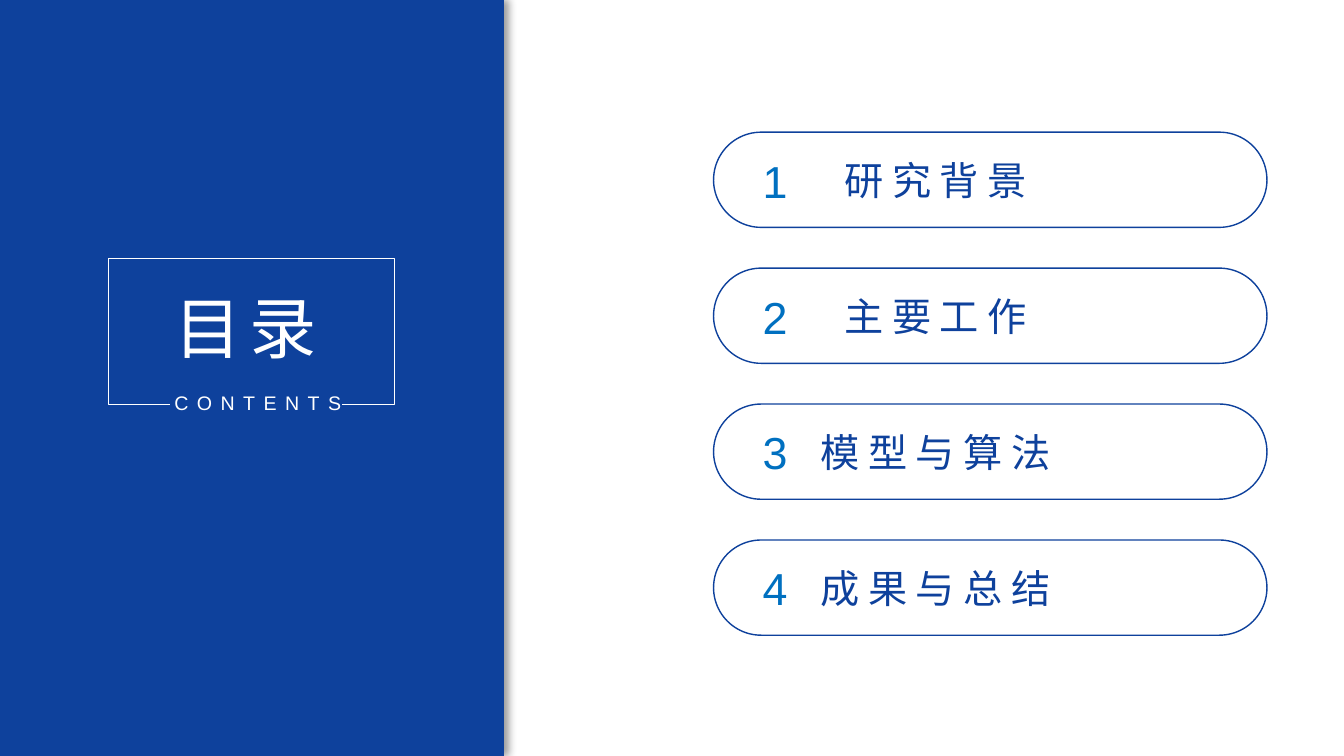
from lxml import etree
from pptx import Presentation
from pptx.dml.color import RGBColor
from pptx.enum.shapes import MSO_SHAPE
from pptx.enum.text import MSO_ANCHOR, MSO_AUTO_SIZE, PP_ALIGN
from pptx.oxml.ns import qn
from pptx.util import Pt

RECT, PILL = MSO_SHAPE.RECTANGLE, MSO_SHAPE.ROUNDED_RECTANGLE
LEFT, CENTER = PP_ALIGN.LEFT, PP_ALIGN.CENTER
TOP, MIDDLE = MSO_ANCHOR.TOP, MSO_ANCHOR.MIDDLE

COLORS = {"navy": "0E419C", "number": "0070C0", "white": "FFFFFF", "shadow": "000000"}
FONT = "Arial"
SECTIONS = ["研究背景", "主要工作", "模型与算法", "成果与总结"]


def color(name):
    return RGBColor.from_string(COLORS[name])


def add_label(slide, box, text, size, fill, align=LEFT, anchor=TOP, spacing=0, wrap=False):
    label = slide.shapes.add_textbox(*map(Pt, box))
    frame = label.text_frame
    frame.text = text
    frame.word_wrap = wrap
    frame.auto_size = MSO_AUTO_SIZE.SHAPE_TO_FIT_TEXT
    frame.vertical_anchor = anchor
    paragraph = frame.paragraphs[0]
    paragraph.alignment = align
    run = paragraph.runs[0]
    run.font.size = Pt(size)
    run.font.name = FONT
    run.font.color.rgb = color(fill)
    properties = run.font._element
    etree.SubElement(properties, qn("a:ea"), typeface=FONT)
    if spacing:
        properties.set("spc", str(spacing * 100))


def add_side_shadow(shape):
    """Cast a soft shadow to the right of the shape."""
    shape.shadow.inherit = False
    effects = shape._element.spPr.find(qn("a:effectLst"))
    shadow = etree.SubElement(effects, qn("a:outerShdw"), blurRad=str(Pt(6)),
                              dist=str(Pt(3)), dir="0", algn="l", rotWithShape="0")
    tint = etree.SubElement(shadow, qn("a:srgbClr"), val=COLORS["shadow"])
    etree.SubElement(tint, qn("a:alpha"), val="40000")


def add_title_panel(slide, left, top, width, height):
    panel = slide.shapes.add_shape(RECT, *map(Pt, (left, top, width, height)))
    panel.fill.solid()
    panel.fill.fore_color.rgb = color("navy")
    panel.line.fill.background()
    add_side_shadow(panel)

    # Heading and its subtitle
    add_label(slide, (left + 117.4, top + 200.9, 123.8, 65.5), "目录", 48, "white", spacing=6)
    add_label(slide, (left + 117.4, top + 275.8, 141, 24.5), "CONTENTS", 14, "white", spacing=6)

    # Frame, open at the bottom for the subtitle
    frame_left, frame_right = left + 77.5, left + 281.7
    frame_top, frame_bottom = top + 184.8, top + 288.9
    outline = slide.shapes.build_freeform(Pt(left + 121.3), Pt(frame_bottom))
    corners = [(frame_left, frame_bottom), (frame_left, frame_top),
               (frame_right, frame_top), (frame_right, frame_bottom),
               (left + 244.4, frame_bottom)]
    outline.add_line_segments([(Pt(x), Pt(y)) for x, y in corners], close=False)
    frame = outline.convert_to_shape()
    frame.fill.background()
    frame.line.color.rgb = color("white")
    frame.line.width = Pt(0.5)
    frame.shadow.inherit = False


def add_section(slide, left, top, width, height, number, name):
    pill = slide.shapes.add_shape(PILL, *map(Pt, (left, top, width, height)))
    pill.adjustments[0] = 0.5
    pill.fill.background()
    pill.line.color.rgb = color("navy")
    pill.line.width = Pt(1)
    pill.shadow.inherit = False

    add_label(slide, (left + 10.4, top + 11.3, 67, 46), str(number), 32, "number",
              CENTER, MIDDLE, wrap=True)
    add_label(slide, (left + 66.6, top + 13.6, 184, 41.2), name, 28, "navy",
              CENTER, spacing=6)


def add_section_list(slide, left, top, width, height):
    pill_height = 68
    pitch = (height - pill_height) / (len(SECTIONS) - 1)
    for index, name in enumerate(SECTIONS):
        add_section(slide, left, top + index * pitch, width, pill_height, index + 1, name)


def main():
    deck = Presentation()
    deck.slide_width, deck.slide_height = Pt(960), Pt(540)
    slide = deck.slides.add_slide(deck.slide_layouts[6])
    add_title_panel(slide, 0, 0, 360, 540)
    add_section_list(slide, 509.7, 94.4, 395.3, 359.3)
    deck.save("out.pptx")


if __name__ == "__main__":
    main()
